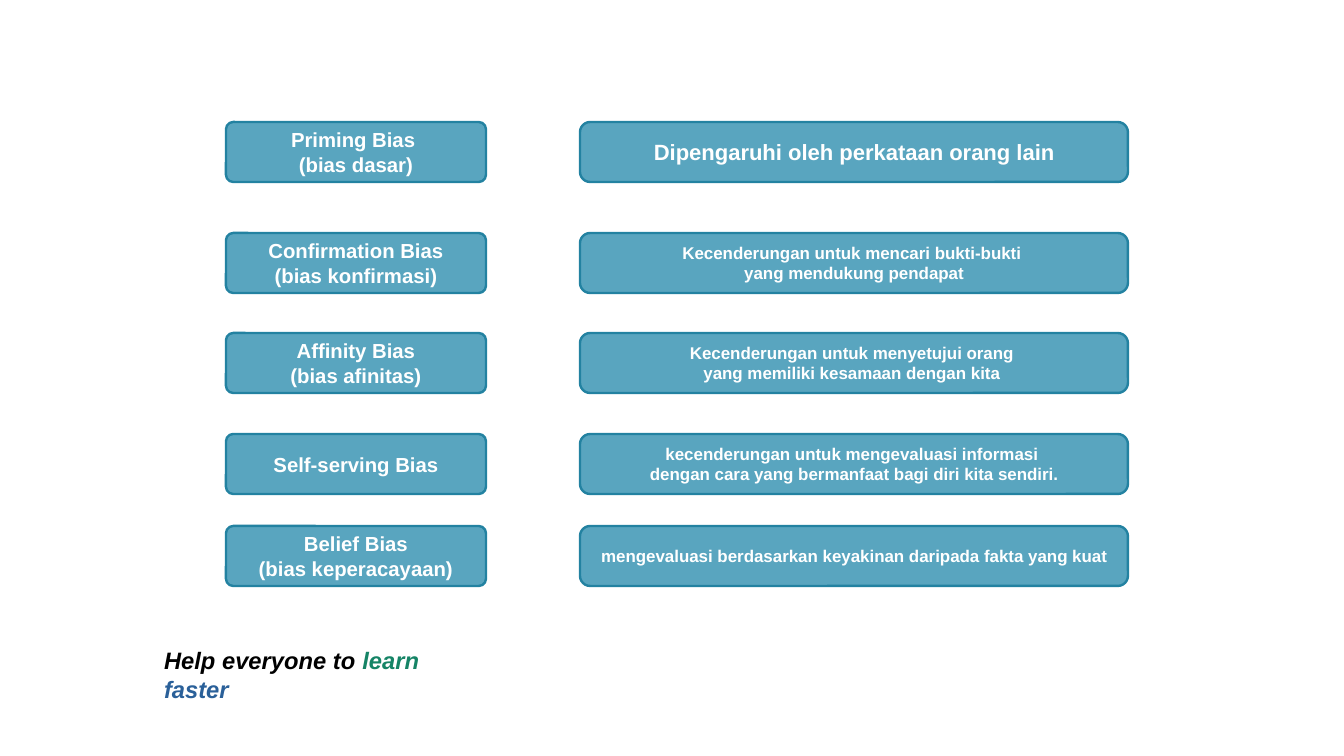
from dataclasses import dataclass

import pptx
import pptx.dml.color
import pptx.enum.shapes
import pptx.enum.text
import pptx.util

EMU_PER_PX = 914400 / 122
ROW_HEIGHT = 60
FONT = {"name": "Arial", "bold": True}


@dataclass(frozen=True)
class Column:
    left: int
    width: int
    corner: float


@dataclass(frozen=True)
class BiasRow:
    top: int
    name: list[str]
    meaning: list[str]
    meaning_size: int = 10


@dataclass(frozen=True)
class MottoPart:
    text: str
    color: str


NAME_COLUMN = Column(226, 260, 0.12)
MEANING_COLUMN = Column(580, 548, 0.17)

ROWS = [
    BiasRow(122, ["Priming Bias ", "(bias dasar)"],
            ["Dipengaruhi oleh perkataan orang lain"], 13),
    BiasRow(233, ["Confirmation Bias", "(bias konfirmasi)"],
            ["Kecenderungan untuk mencari bukti-bukti ", "yang mendukung pendapat"]),
    BiasRow(333, ["Affinity Bias", "(bias afinitas)"],
            ["Kecenderungan untuk menyetujui orang ", "yang memiliki kesamaan dengan kita "]),
    BiasRow(434, ["Self-serving Bias"],
            ["kecenderungan untuk mengevaluasi informasi ",
             "dengan cara yang bermanfaat bagi diri kita sendiri."]),
    BiasRow(526, ["Belief Bias", "(bias keperacayaan)"],
            ["mengevaluasi berdasarkan keyakinan daripada fakta yang kuat"]),
]

MOTTO = [
    MottoPart("Help everyone to ", "000000"),
    MottoPart("learn ", "158466"),
    MottoPart("faster", "2A6099"),
]


def px(length: int) -> pptx.util.Emu:
    return pptx.util.Emu(round(length * EMU_PER_PX))


def rgb(color: str) -> pptx.dml.color.RGBColor:
    return pptx.dml.color.RGBColor.from_string(color)


def add_run(paragraph, text: str, size: int, color: str, **extra) -> None:
    run = paragraph.add_run()
    run.text = text
    for attribute, value in {**FONT, "size": pptx.util.Pt(size), **extra}.items():
        setattr(run.font, attribute, value)
    run.font.color.rgb = rgb(color)


def add_box(slide, column: Column, top: int, lines: list[str], size: int) -> None:
    shape = slide.shapes.add_shape(
        pptx.enum.shapes.MSO_SHAPE.ROUNDED_RECTANGLE,
        px(column.left), px(top), px(column.width), px(ROW_HEIGHT))
    shape.adjustments[0] = column.corner
    shape.shadow.inherit = False
    shape.fill.solid()
    shape.fill.fore_color.rgb = rgb("59A5BF")
    shape.line.color.rgb = rgb("2382A1")
    shape.line.width = pptx.util.Pt(1.42)

    frame = shape.text_frame
    frame.word_wrap = False
    frame.vertical_anchor = pptx.enum.text.MSO_ANCHOR.MIDDLE
    for index, line in enumerate(lines):
        paragraph = frame.add_paragraph() if index else frame.paragraphs[0]
        paragraph.alignment = pptx.enum.text.PP_ALIGN.CENTER
        add_run(paragraph, line, size, "FFFFFF")


def add_motto(slide) -> None:
    box = slide.shapes.add_textbox(px(152), px(640), px(350), px(39))
    box.text_frame.word_wrap = False
    for part in MOTTO:
        add_run(box.text_frame.paragraphs[0], part.text, 14, part.color, italic=True)


def main() -> None:
    presentation = pptx.Presentation()
    presentation.slide_width = px(1344)
    presentation.slide_height = px(756)
    slide = presentation.slides.add_slide(presentation.slide_layouts[6])

    # Bias names with their meanings
    for row in ROWS:
        add_box(slide, NAME_COLUMN, row.top, row.name, 12)
        add_box(slide, MEANING_COLUMN, row.top, row.meaning, row.meaning_size)

    # Closing motto
    add_motto(slide)

    presentation.save("out.pptx")


if __name__ == "__main__":
    main()
